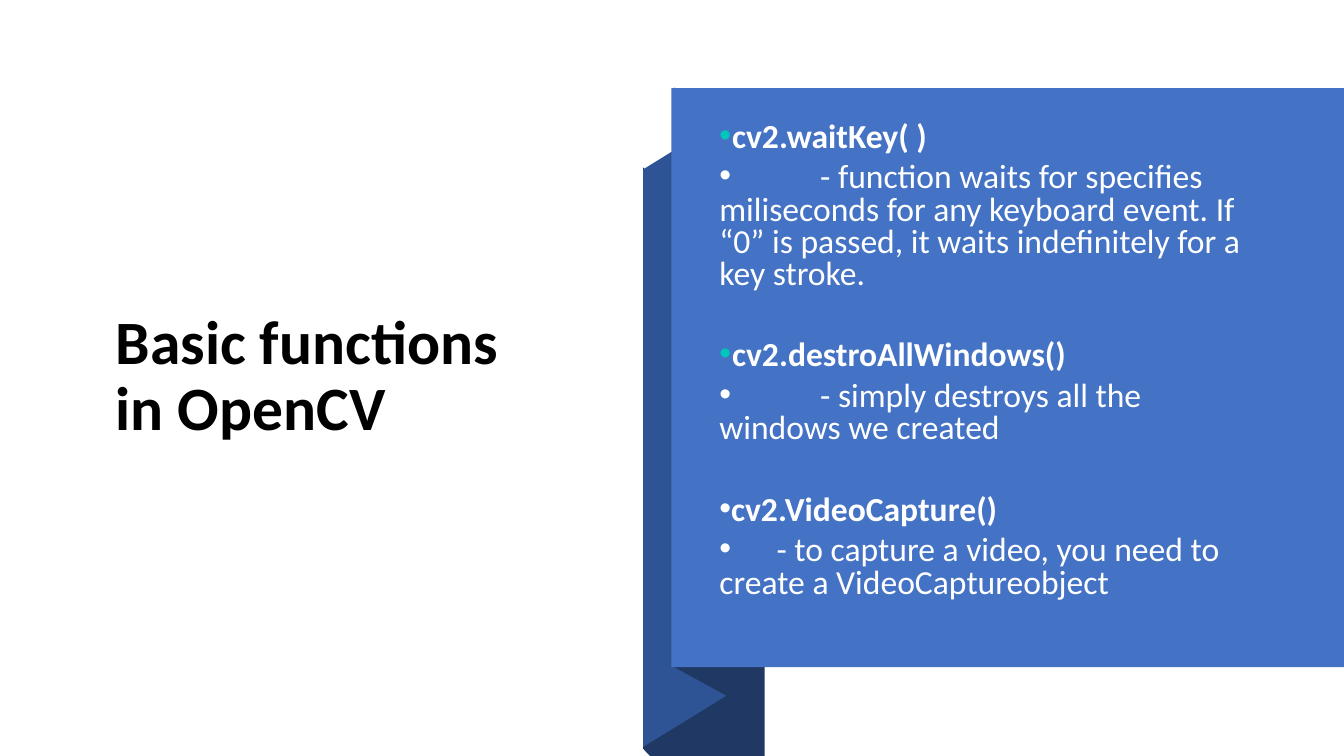
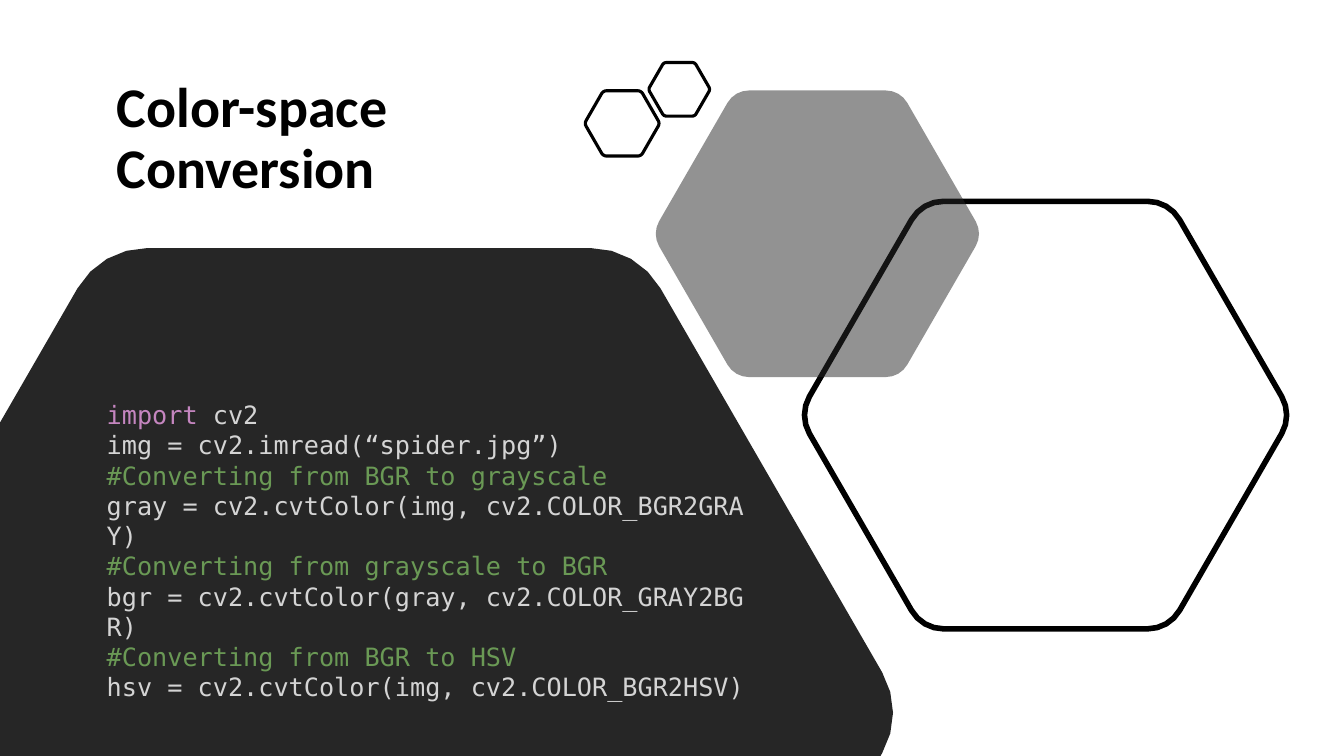
from math import cos, pi, sin

from lxml import etree
from pptx import Presentation
from pptx.dml.color import RGBColor
from pptx.enum.shapes import MSO_SHAPE
from pptx.enum.text import MSO_ANCHOR
from pptx.oxml.ns import qn
from pptx.util import Cm, Pt

RECT = MSO_SHAPE.RECTANGLE
TOP, MIDDLE = MSO_ANCHOR.TOP, MSO_ANCHOR.MIDDLE
WIDTH, HEIGHT = 33.87, 19.05
NBSP = chr(160)
BODY_FONT, CODE_FONT = "Calibri", "DejaVu Sans Mono"
COLORS = {
    "black": "000000", "white": "FFFFFF", "teal": "00C6BB",
    "panel": "4472C4", "ribbon": "2F5496", "fold": "1F3864",
    "charcoal": "262626", "keyword": "C586C0", "comment": "6A9955",
    "code": "D4D4D4",
}


def rgb(name):
    return RGBColor.from_string(COLORS[name])


def rounded_hexagon(cx, cy, radius, steps=4):
    corner = radius * 0.15
    reach = radius - corner / cos(pi / 6)
    points = []
    for i in range(6):
        angle = i * pi / 3
        for j in range(steps + 1):
            turn = angle + (j / steps - 0.5) * pi / 3
            points.append((cx + reach * cos(angle) + corner * cos(turn),
                           cy + reach * sin(angle) + corner * sin(turn)))
    return points


def clip(points, axis, limit, sign):
    kept = []
    for a, b in zip(points, points[1:] + points[:1]):
        da, db = sign * (a[axis] - limit), sign * (b[axis] - limit)
        if da >= 0:
            kept.append(a)
        if da * db < 0:
            t = da / (da - db)
            kept.append((a[0] + t * (b[0] - a[0]), a[1] + t * (b[1] - a[1])))
    return kept


def clip_to_slide(points):
    for axis, limit in enumerate((WIDTH, HEIGHT)):
        points = clip(clip(points, axis, 0, 1), axis, limit, -1)
    return points


class Deck:
    def __init__(self):
        self.prs = Presentation()
        self.prs.slide_width = Cm(WIDTH)
        self.prs.slide_height = Cm(HEIGHT)
        self.s = None

    def slide(self):
        self.s = self.prs.slides.add_slide(self.prs.slide_layouts[6])

    def style(self, sp, fill=None, line=None, weight=1, alpha=None):
        sp.shadow.inherit = False
        if fill:
            sp.fill.solid()
            sp.fill.fore_color.rgb = rgb(fill)
        else:
            sp.fill.background()
        if alpha:
            color = sp._element.spPr.find(qn("a:solidFill")).find(qn("a:srgbClr"))
            etree.SubElement(color, qn("a:alpha"), val=str(alpha * 1000))
        if line:
            sp.line.color.rgb = rgb(line)
            sp.line.width = Pt(weight)
        else:
            sp.line.fill.background()

    def rect(self, x, y, w, h, fill):
        sp = self.s.shapes.add_shape(RECT, Cm(x), Cm(y), Cm(w), Cm(h))
        self.style(sp, fill)

    def polygon(self, points, **look):
        emu = [(Cm(x), Cm(y)) for x, y in points]
        builder = self.s.shapes.build_freeform(*emu[0], scale=1.0)
        builder.add_line_segments(emu[1:], close=True)
        self.style(builder.convert_to_shape(), **look)

    def hexagon(self, cx, cy, radius, **look):
        self.polygon(clip_to_slide(rounded_hexagon(cx, cy, radius)), **look)

    def text_box(self, x, y, w, h, anchor):
        sp = self.s.shapes.add_textbox(Cm(x), Cm(y), Cm(w), Cm(h))
        tf = sp.text_frame
        tf.word_wrap = True
        tf.vertical_anchor = anchor
        return tf

    def paragraph(self, tf, first, spacing=1.0, before=0):
        p = tf.paragraphs[0] if first else tf.add_paragraph()
        p.line_spacing = spacing
        p.space_before = Pt(before)
        return p

    def run(self, p, text, size, color, bold=False, font=BODY_FONT):
        r = p.add_run()
        r.text = text
        r.font.name = font
        r.font.size = Pt(size)
        r.font.bold = bold
        r.font.color.rgb = rgb(color)

    def bullet(self, p, color, hanging=0, tab=None):
        pPr = p._p.get_or_add_pPr()
        pPr.set("marL", str(Cm(hanging)))
        pPr.set("indent", str(-Cm(hanging)))
        tint = etree.SubElement(pPr, qn("a:buClr"))
        etree.SubElement(tint, qn("a:srgbClr"), val=COLORS[color])
        etree.SubElement(pPr, qn("a:buFont"), typeface="Arial")
        etree.SubElement(pPr, qn("a:buChar"), char="•")
        if tab:
            tabs = etree.SubElement(pPr, qn("a:tabLst"))
            etree.SubElement(tabs, qn("a:tab"), pos=str(Cm(tab)), algn="l")

    def title(self, text, x, y, w, h, size):
        tf = self.text_box(x, y, w, h, MIDDLE)
        self.run(self.paragraph(tf, True, 0.9), text, size, "black", True)

    def functions(self, entries, x, y, w, h):
        tf = self.text_box(x, y, w, h, MIDDLE)
        for i, (name, note, color, hanging, tab) in enumerate(entries):
            p = self.paragraph(tf, i == 0, 0.8, 35 if i else 0)
            self.bullet(p, color, hanging)
            self.run(p, name, 24, "white", True)
            p = self.paragraph(tf, False, 0.8, 6)
            self.bullet(p, "white", tab=tab)
            self.run(p, "\t" + note, 24, "white")

    def code(self, lines, x, y, w, h):
        tf = self.text_box(x, y, w, h, TOP)
        for i, line in enumerate(lines):
            p = self.paragraph(tf, i == 0)
            for text, color in line:
                self.run(p, text.replace(" ", NBSP), 18, color, font=CODE_FONT)


def basic_functions(deck):
    deck.slide()
    deck.title("Basic functions in OpenCV", 2.67, 3.12, 11.63, 12.8, 44)
    ribbon = [
        ("fold", [(16.21, 4.22), (19.27, 7.39), (19.27, HEIGHT),
                  (16.38, HEIGHT), (16.21, 18.87)]),
        ("ribbon", [(16.21, 18.82), (18.31, 17.53), (18.31, 2.97), (16.21, 4.27)]),
        ("fold", [(16.99, 16.81), (18.34, 17.55), (18.34, 2.95), (16.99, 2.21)]),
    ]
    for fill, points in ribbon:
        deck.polygon(points, fill=fill)
    deck.rect(16.92, 2.22, WIDTH - 16.92, 14.59, "panel")
    deck.functions([
        ("cv2.waitKey( )",
         "- function waits for specifies miliseconds for any keyboard event. "
         "If “0” is passed, it waits indefinitely for a key stroke.",
         "teal", 0.32, 2.54),
        ("cv2.destroAllWindows()",
         "- simply destroys all the windows we created", "teal", 0.32, 2.54),
        ("cv2.VideoCapture()",
         "- to capture a video, you need to create a VideoCaptureobject",
         "white", 0, 1.44),
    ], 17.88, 3.12, 14.07, 11.98)


def color_conversion(deck):
    deck.slide()
    deck.title("Color-space Conversion", 2.69, 1.24, 11.89, 4.57, 40)
    deck.hexagon(9.3, 17.96, 13.52, fill="charcoal")
    deck.hexagon(26.35, 10.46, 6.22, line="black", weight=4)
    deck.hexagon(20.6, 5.89, 4.17, fill="charcoal", alpha=50)
    for cx, cy, radius in [(15.68, 3.11, 0.95), (17.12, 2.25, 0.78)]:
        deck.hexagon(cx, cy, radius, line="black", weight=2.25)
    deck.code([
        [("import", "keyword"), (" cv2", "code")],
        [("img = cv2.imread(“spider.jpg”)", "code")],
        [("#Converting from BGR to grayscale", "comment")],
        [("gray = cv2.cvtColor(img, cv2.COLOR_BGR2GRAY)", "code")],
        [("#Converting from grayscale to BGR", "comment")],
        [("bgr = cv2.cvtColor(gray, cv2.COLOR_GRAY2BGR)", "code")],
        [("#Converting from BGR to HSV", "comment")],
        [("hsv = cv2.cvtColor(img, cv2.COLOR_BGR2HSV)", "code")],
    ], 2.44, 9.94, 16.75, 7.95)


def main():
    deck = Deck()
    basic_functions(deck)
    color_conversion(deck)
    deck.prs.save("out.pptx")


if __name__ == "__main__":
    main()
